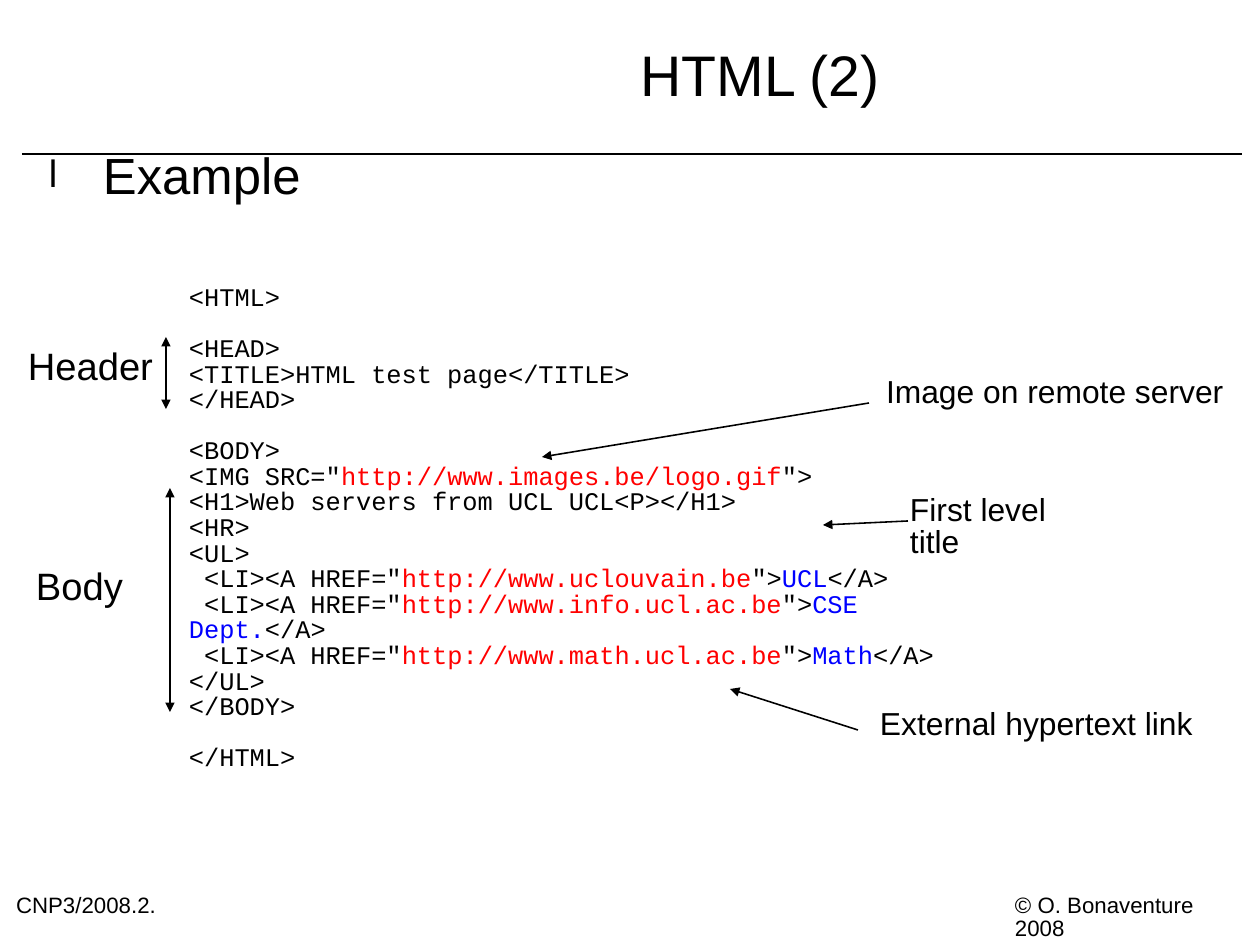
from lxml.etree import SubElement
from pptx import Presentation
from pptx.dml.color import RGBColor as Rgb
from pptx.enum.shapes import MSO_CONNECTOR as Connector
from pptx.enum.text import MSO_ANCHOR as Anchor, PP_ALIGN as Align
from pptx.oxml.ns import qn
from pptx.util import Pt

SCALE = 8000
COLOURS = {"ink": "000000", "paper": "FFFFFF", "address": "FF0000", "link": "0000FF"}
CODE_GAP = 16


def write(para, text, size=20, font="Arial", colour="ink"):
    span = para.add_run()
    span.text = text
    span.font.size = Pt(size)
    span.font.name = font
    span.font.color.rgb = Rgb.from_string(COLOURS[colour])


class Page:
    line_spacing = 0.84
    line_width = 1

    def __init__(self, deck):
        self.slide = deck.slides.add_slide(deck.slide_layouts[5])
        fill = self.slide.background.fill
        fill.solid()
        fill.fore_color.rgb = Rgb.from_string(COLOURS["paper"])

    def prepare(self, box, wrap, anchor=Anchor.TOP):
        frame = box.text_frame
        frame.margin_left = frame.margin_right = 0
        frame.margin_top = frame.margin_bottom = 0
        frame.word_wrap = wrap
        frame.vertical_anchor = anchor
        return frame

    def style(self, para, align=Align.LEFT, before=0):
        para.alignment = align
        para.line_spacing = self.line_spacing
        para.space_before = Pt(before)
        return para

    def title(self, text, left, top, width, height):
        box = self.slide.shapes.title
        box.left, box.top = left * SCALE, top * SCALE
        box.width, box.height = width * SCALE, height * SCALE
        frame = self.prepare(box, True, Anchor.MIDDLE)
        write(self.style(frame.paragraphs[0], Align.CENTER), text, size=36)

    def frame(self, left, top, width, height, wrap=False):
        box = self.slide.shapes.add_textbox(
            left * SCALE, top * SCALE, width * SCALE, height * SCALE)
        return self.prepare(box, wrap)

    def label(self, text, left, top, width, height, **look):
        para = self.style(self.frame(left, top, width, height).paragraphs[0])
        write(para, text, **look)

    def bullet(self, text, left, top, width, height, margin, hang, **look):
        para = self.style(self.frame(left, top, width, height, True).paragraphs[0])
        write(para, text, **look)
        props = para._p.get_or_add_pPr()
        props.set("marL", str(margin * SCALE))
        props.set("indent", str(-hang * SCALE))
        colour = SubElement(props, qn("a:buClr"))
        SubElement(colour, qn("a:srgbClr"), val=COLOURS["ink"])
        SubElement(props, qn("a:buSzPct"), val="75000")
        SubElement(props, qn("a:buFont"), typeface="Arial")
        SubElement(props, qn("a:buChar"), char="l")

    def code(self, blocks, left, top, width, height):
        frame = self.frame(left, top, width, height)
        para = frame.paragraphs[0]
        for block_index, block in enumerate(blocks):
            for line_index, line in enumerate(block):
                if block_index or line_index:
                    para = frame.add_paragraph()
                starts_block = block_index and not line_index
                self.style(para, before=CODE_GAP if starts_block else 0)
                for text, colour in line:
                    write(para, text, size=16, font="Courier New", colour=colour)

    def line(self, start, end, heads=()):
        x1, y1, x2, y2 = (value * SCALE for value in start + end)
        line = self.slide.shapes.add_connector(Connector.STRAIGHT, x1, y1, x2, y2)
        line.line.color.rgb = Rgb.from_string(COLOURS["ink"])
        line.line.width = Pt(self.line_width)
        for head in heads:
            SubElement(line.line._get_or_add_ln(), qn(f"a:{head}"), type="triangle")
        SubElement(line._element.spPr, qn("a:effectLst"))


def plain(*lines):
    return [[(line, "ink")] for line in lines]


def list_item(address, name):
    return [(' <LI><A HREF="', "ink"), (address, "address"), ('">', "ink"),
            (name, "link"), ("</A>", "ink")]


def main():
    deck = Presentation()
    deck.slide_width, deck.slide_height = 1260 * SCALE, 945 * SCALE
    page = Page(deck)

    page.line((22, 154), (1242, 154))
    page.label("© O. Bonaventure 2008", 1015, 896, 234, 23, size=14)
    page.label("CNP3/2008.2.", 16, 896, 192, 27, size=14)
    page.title("HTML (2)", 318, 0, 884, 158)
    page.bullet("Example", 40, 154, 1169, 725, margin=63, hang=54, size=32)

    image = [('<IMG SRC="', "ink"), ("http://www.images.be/logo.gif", "address"),
             ('">', "ink")]
    links = [("http://www.uclouvain.be", "UCL"),
             ("http://www.info.ucl.ac.be", "CSE Dept."),
             ("http://www.math.ucl.ac.be", "Math")]
    page.code([
        plain("<HTML>"),
        plain("<HEAD>", "<TITLE>HTML test page</TITLE>", "</HEAD>"),
        plain("<BODY>") + [image]
        + plain("<H1>Web servers from UCL UCL<P></H1>", "<HR>", "<UL>")
        + [list_item(*link) for link in links]
        + plain("</UL>", "</BODY>"),
        plain("</HTML>"),
    ], 189, 286, 821, 461)

    for text, left, top, width in [("Header", 28, 350, 125), ("Body", 36, 570, 87)]:
        page.label(text, left, top, width, 39, size=24)
    for x, top, bottom in [(166, 337, 409), (170, 488, 712)]:
        page.line((x, top), (x, bottom), heads=("headEnd", "tailEnd"))

    for text, left, top, width, start, end in [
        ("Image on remote server", 886, 378, 338, (869, 403), (542, 457)),
        ("First level title", 910, 496, 194, (908, 521), (823, 525)),
        ("External hypertext link", 880, 710, 313, (858, 730), (730, 689)),
    ]:
        page.label(text, left, top, width, 32)
        page.line(start, end, heads=("tailEnd",))

    deck.save("out.pptx")


if __name__ == "__main__":
    main()
